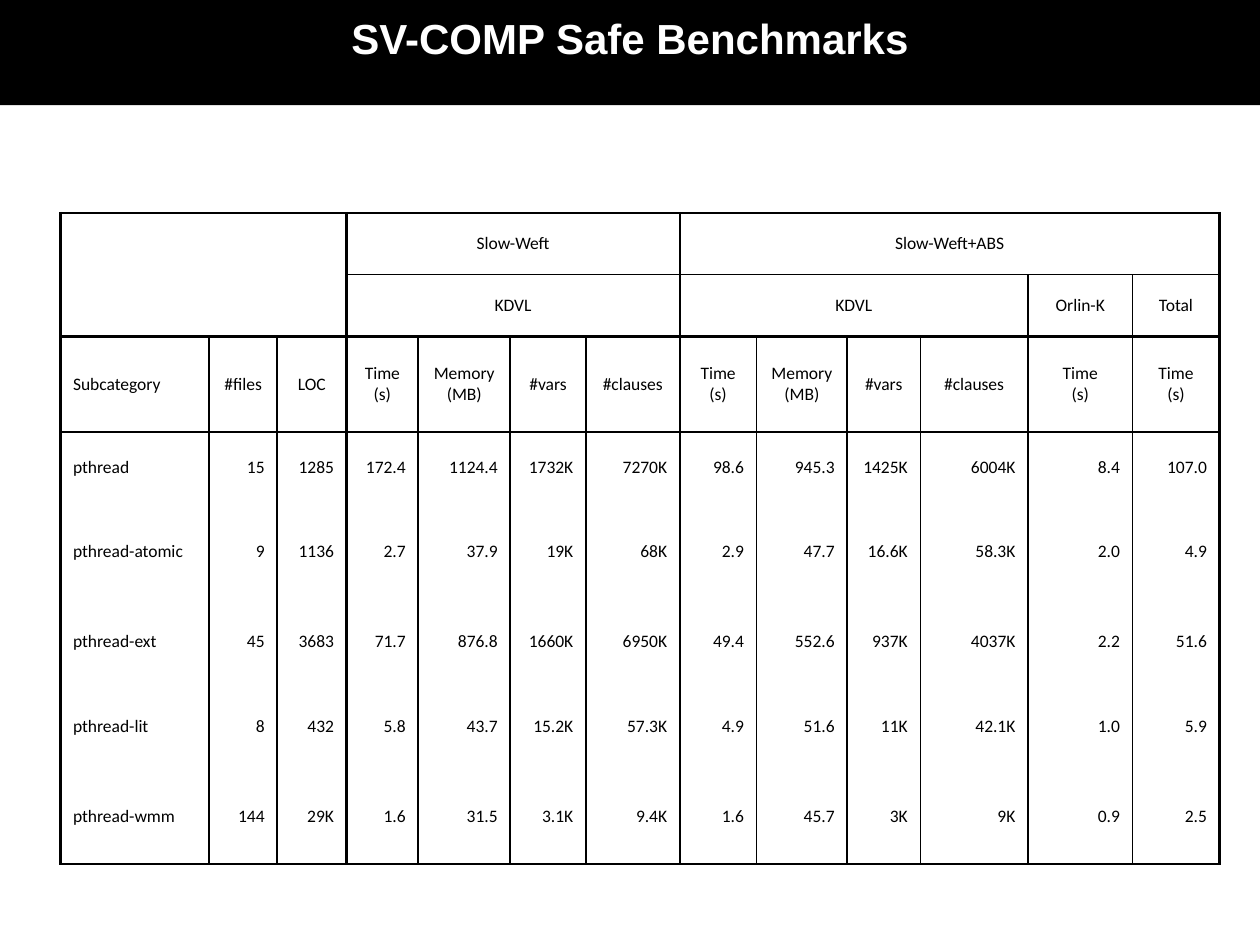
from dataclasses import dataclass

from lxml import etree
from pptx import Presentation, util as u
from pptx.dml.color import RGBColor
from pptx.enum import text
from pptx.oxml.ns import qn


@dataclass(frozen=True)
class Theme:
    ink: str = "000000"
    paper: str = "FFFFFF"
    title_font: str = "Arial"
    title_size: int = 24
    table_font: str = "Calibri"
    table_size: int = 10
    thin: float = 0.75
    medium: float = 1
    thick: float = 1.5


GRID_COLUMNS, GRID_ROWS = 100, 75
COLUMN_WIDTHS = [11.8, 5.4, 5.5, 5.7, 7.3, 6, 7.45, 6.1, 7.2, 5.8, 8.55, 8.3, 6.9]
ROW_HEIGHTS = [4.9, 4.9, 7.6, 5.7, 7.6, 6.7, 6.7, 7.6]
HEADER_ROWS = 3

GROUPS = [
    (0, 0, 1, 2, ""),
    (0, 3, 0, 6, "Slow-Weft"),
    (0, 7, 0, 12, "Slow-Weft+ABS"),
    (1, 3, 1, 6, "KDVL"),
    (1, 7, 1, 10, "KDVL"),
    (1, 11, 1, 11, "Orlin-K"),
    (1, 12, 1, 12, "Total"),
]
MEASURES = ["Time (s)", "Memory (MB)", "#vars", "#clauses"]
HEADINGS = ["Subcategory", "#files", "LOC", *MEASURES * 2, *["Time\n(s)"] * 2]
RESULTS = [
    "pthread 15 1285 172.4 1124.4 1732K 7270K 98.6 945.3 1425K 6004K 8.4 107.0",
    "pthread-atomic 9 1136 2.7 37.9 19K 68K 2.9 47.7 16.6K 58.3K 2.0 4.9",
    "pthread-ext 45 3683 71.7 876.8 1660K 6950K 49.4 552.6 937K 4037K 2.2 51.6",
    "pthread-lit 8 432 5.8 43.7 15.2K 57.3K 4.9 51.6 11K 42.1K 1.0 5.9",
    "pthread-wmm 144 29K 1.6 31.5 3.1K 9.4K 1.6 45.7 3K 9K 0.9 2.5",
]


class BenchmarkSlide:
    def __init__(self, deck, theme):
        self.theme = theme
        self.column = deck.slide_width / GRID_COLUMNS
        self.row = deck.slide_height / GRID_ROWS
        self.slide = deck.slides.add_slide(deck.slide_layouts[5])
        self.slide.background.fill.solid()
        self.slide.background.fill.fore_color.rgb = RGBColor.from_string(theme.paper)

    def place(self, left, top, width, height):
        return (round(left * self.column), round(top * self.row),
                round(width * self.column), round(height * self.row))

    def style(self, frame, font, size, colour, align, bold=False):
        for paragraph in frame.paragraphs:
            paragraph.alignment = align
            paragraph.font.name = font
            paragraph.font.size = u.Pt(size)
            paragraph.font.bold = bold
            paragraph.font.color.rgb = RGBColor.from_string(colour)

    def title(self, words, *box):
        banner = self.slide.shapes.title
        banner.left, banner.top, banner.width, banner.height = self.place(*box)
        banner.fill.solid()
        banner.fill.fore_color.rgb = RGBColor.from_string(self.theme.ink)
        frame = banner.text_frame
        frame.text = words
        frame.auto_size = text.MSO_AUTO_SIZE.NONE
        frame.vertical_anchor = text.MSO_ANCHOR.TOP
        frame.margin_left = frame.margin_right = u.Inches(0.1)
        frame.margin_top = frame.margin_bottom = u.Inches(0.1)
        self.style(frame, self.theme.title_font, self.theme.title_size,
                   self.theme.paper, text.PP_ALIGN.CENTER, bold=True)

    def border(self, cell, side, width):
        line = etree.SubElement(cell._tc.get_or_add_tcPr(), qn(f"a:ln{side}"))
        if not width:
            line.set("w", "0")
            etree.SubElement(line, qn("a:noFill"))
            return
        line.set("w", str(u.Pt(width)))
        fill = etree.SubElement(line, qn("a:solidFill"))
        etree.SubElement(fill, qn("a:srgbClr"), val=self.theme.ink)

    def cell(self, cell, words, align, borders):
        cell.text = words
        cell.vertical_anchor = text.MSO_ANCHOR.MIDDLE
        cell.margin_left = cell.margin_right = u.Inches(0.1)
        cell.margin_top = cell.margin_bottom = u.Inches(0.13)
        self.style(cell.text_frame, self.theme.table_font, self.theme.table_size,
                   self.theme.ink, align)
        for side, width in borders.items():
            self.border(cell, side, width)
        cell.fill.background()

    def table(self, left, top, widths, heights, regions):
        box = self.place(left, top, sum(widths), sum(heights))
        grid = self.slide.shapes.add_table(len(heights), len(widths), *box).table
        grid.first_row = grid.horz_banding = False
        for column, width in zip(grid.columns, widths):
            column.width = round(width * self.column)
        for row, height in zip(grid.rows, heights):
            row.height = round(height * self.row)

        theme = self.theme
        upright = {**dict.fromkeys((0, 3, 7, 13), theme.thick),
                   **dict.fromkeys((11, 12), theme.thin)}
        level = {**dict.fromkeys((0, 2, 3, 8), theme.thick), 1: theme.thin}
        for first_row, first_col, last_row, last_col, words in regions:
            if first_row >= HEADER_ROWS and first_col:
                align = text.PP_ALIGN.RIGHT
            elif first_row >= HEADER_ROWS - 1 and not first_col:
                align = text.PP_ALIGN.LEFT
            else:
                align = text.PP_ALIGN.CENTER
            outline = {
                "L": upright.get(first_col, theme.medium),
                "R": upright.get(last_col + 1, theme.medium),
                "T": level.get(first_row, 0),
                "B": level.get(last_row + 1, 0),
            }
            for r in range(first_row, last_row + 1):
                for c in range(first_col, last_col + 1):
                    is_origin = (r, c) == (first_row, first_col)
                    on_edge = {"L": c == first_col, "R": c == last_col,
                               "T": r == first_row, "B": r == last_row}
                    borders = {side: width if is_origin or on_edge[side] else 0
                               for side, width in outline.items()}
                    self.cell(grid.cell(r, c), words if is_origin else "", align, borders)
            if (first_row, first_col) != (last_row, last_col):
                grid.cell(first_row, first_col).merge(grid.cell(last_row, last_col))


def main():
    deck = Presentation()
    deck.slide_width, deck.slide_height = u.Inches(10), u.Inches(7.5)
    slide = BenchmarkSlide(deck, Theme())
    slide.title("SV-COMP Safe Benchmarks", 0, 0, GRID_COLUMNS, 8.35)
    records = [HEADINGS, *(result.split() for result in RESULTS)]
    regions = GROUPS + [(r, c, r, c, words)
                        for r, record in enumerate(records, HEADER_ROWS - 1)
                        for c, words in enumerate(record)]
    slide.table(4.8, 16.9, COLUMN_WIDTHS, ROW_HEIGHTS, regions)
    deck.save("out.pptx")


if __name__ == "__main__":
    main()
